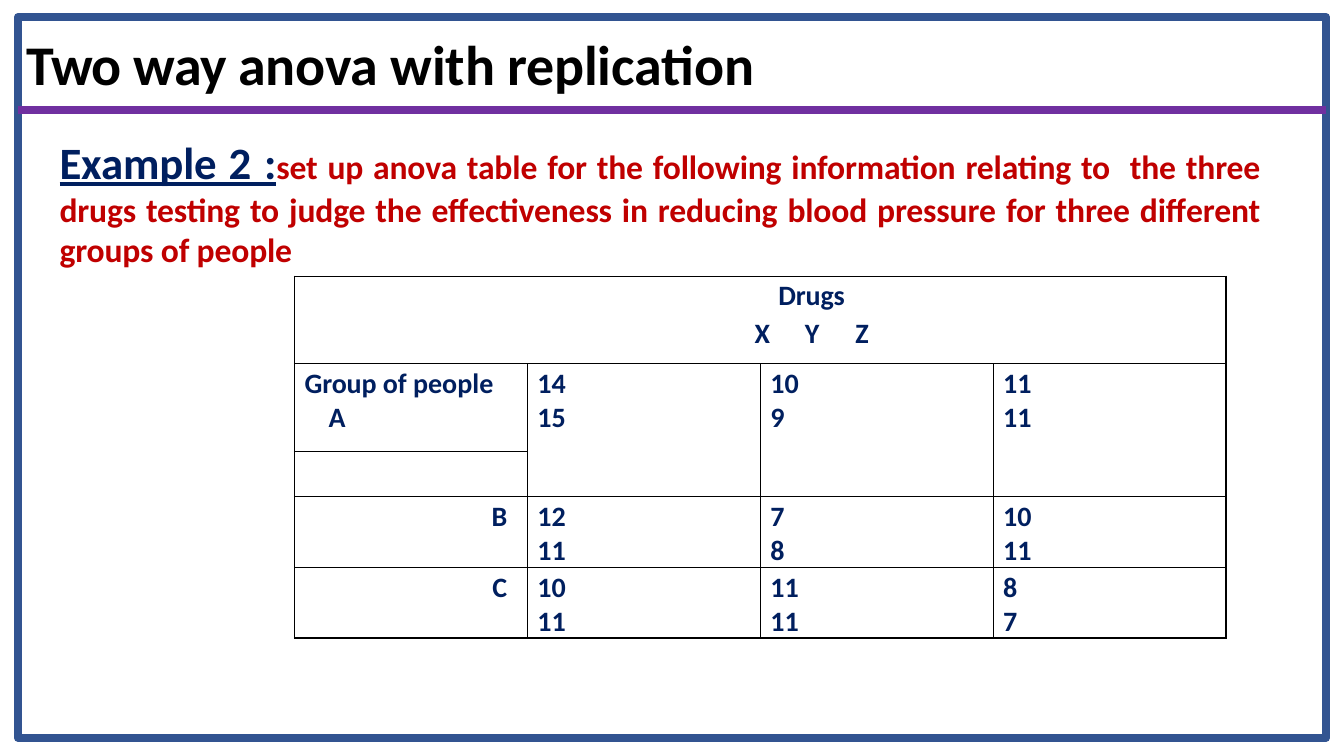
from dataclasses import dataclass

from lxml import etree
from pptx import Presentation
from pptx.dml.color import RGBColor
from pptx.enum.shapes import MSO_CONNECTOR, MSO_SHAPE
from pptx.enum.text import MSO_ANCHOR, PP_ALIGN
from pptx.oxml.ns import qn
from pptx.util import Inches, Pt

LEFT, CENTER, RIGHT, JUSTIFY = PP_ALIGN.LEFT, PP_ALIGN.CENTER, PP_ALIGN.RIGHT, PP_ALIGN.JUSTIFY
MIDDLE, TOP = MSO_ANCHOR.MIDDLE, MSO_ANCHOR.TOP
RECTANGLE, STRAIGHT = MSO_SHAPE.RECTANGLE, MSO_CONNECTOR.STRAIGHT
SLIDE_WIDTH, SLIDE_HEIGHT = Inches(13.33), Inches(7.5)


@dataclass(frozen=True)
class Theme:
    font: str = "Calibri"
    black: str = "000000"
    navy: str = "001F5F"
    red: str = "C00000"
    frame: str = "325491"
    rule: str = "7030A0"
    title: int = 40
    heading: int = 32
    body: int = 24
    cell: int = 20
    heavy_line: float = 6
    cell_line: float = 1
    bottom_line: float = 1.5


THEME = Theme()

TITLE = [("Two ", -0.6), ("way ", -0.5), ("anova ", -0.2), ("with replication", -0.1)]
EXAMPLE = [("Example", -0.1), (" 2", -0.5), (" ", -0.2), (":", 0)]
PROBLEM = [
    ("set up anova table ", -0.1),
    ("for ", -0.2),
    ("the following information relating to  the three drugs testing to judge "
     "the effectiveness in reducing blood pressure ", -0.1),
    ("for ", -0.2),
    ("three different groups of people", -0.1),
]
READINGS = {
    1: [("14", "15"), ("10", "9"), ("11", "11")],
    3: [("12", "11"), ("7", "8"), ("10", "11")],
    4: [("10", "11"), ("11", "11"), ("8", "7")],
}
GROUPS = {3: "B", 4: "C"}
ROW_SHARES = [11.6, 11.6, 6, 9.33, 9.33]
COLUMN_SHARE = 17.33
CELL_INDENT, HEADER_INDENT, GROUP_INDENT, GROUP_MARGIN = 0.75, 7.65, 2.55, 1.5


def across(percent):
    return round(SLIDE_WIDTH * percent / 100)


def down(percent):
    return round(SLIDE_HEIGHT * percent / 100)


def add_runs(paragraph, pieces, size, color, underline=False):
    for text, spacing in pieces:
        run = paragraph.add_run()
        run.text = text
        run.font.name = THEME.font
        run.font.size = Pt(size)
        run.font.bold = True
        run.font.underline = underline
        run.font.color.rgb = RGBColor.from_string(color)
        run.font._element.set("spc", str(round(spacing * 100)))


def format_paragraph(paragraph, align, before, indent=0):
    paragraph.alignment = align
    paragraph.space_before = Pt(before)
    paragraph._p.get_or_add_pPr().set("marL", str(across(indent)))


def add_text_area(slide, left, top, width, height, anchor):
    shape = slide.shapes.add_textbox(across(left), down(top), across(width), down(height))
    frame = shape.text_frame
    frame.word_wrap = True
    frame.vertical_anchor = anchor
    frame.margin_left = frame.margin_right = frame.margin_bottom = 0
    frame.margin_top = Inches(0.01)
    return frame.paragraphs[0]


def add_title(slide):
    paragraph = add_text_area(slide, 1.88, 4.67, 70, 8.27, MIDDLE)
    format_paragraph(paragraph, LEFT, 0.9, 0.08)
    paragraph.line_spacing = 0.9
    add_runs(paragraph, TITLE, THEME.title, THEME.black)


def add_problem(slide):
    paragraph = add_text_area(slide, 4.35, 17.73, 89.42, 18.13, TOP)
    format_paragraph(paragraph, JUSTIFY, 1.1, 0.08)
    add_runs(paragraph, EXAMPLE, THEME.heading, THEME.navy, underline=True)
    add_runs(paragraph, PROBLEM, THEME.body, THEME.red)


def style_cell(cell, bottom_width):
    properties = cell._tc.get_or_add_tcPr()
    for side in "LRTB":
        width = bottom_width if side == "B" else THEME.cell_line
        border = etree.SubElement(properties, qn(f"a:ln{side}"), w=str(Pt(width)))
        fill = etree.SubElement(border, qn("a:solidFill"))
        etree.SubElement(fill, qn("a:srgbClr"), val=THEME.black)
    cell.fill.background()


def fill_cell(cell, lines, align=LEFT, right_margin=0):
    cell.margin_left = cell.margin_bottom = 0
    cell.margin_right = across(right_margin)
    cell.margin_top = Inches(0.03)
    for index, (pieces, indent, before) in enumerate(lines):
        frame = cell.text_frame
        paragraph = frame.add_paragraph() if index else frame.paragraphs[0]
        format_paragraph(paragraph, align, before, indent)
        add_runs(paragraph, pieces, THEME.cell, THEME.navy)


def add_drug_table(slide):
    columns = 4
    shape = slide.shapes.add_table(
        len(ROW_SHARES), columns, across(21.91), down(36.53),
        across(COLUMN_SHARE * columns), down(sum(ROW_SHARES)))
    table = shape.table
    table.first_row = table.horz_banding = False
    for column in table.columns:
        column.width = across(COLUMN_SHARE)
    for index, share in enumerate(ROW_SHARES):
        table.rows[index].height = down(share)
        is_last = index == len(ROW_SHARES) - 1
        for cell in table.rows[index].cells:
            style_cell(cell, THEME.bottom_line if is_last else THEME.cell_line)

    table.cell(0, 0).merge(table.cell(0, columns - 1))
    for column in range(1, columns):
        table.cell(1, column).merge(table.cell(2, column))

    fill_cell(table.cell(0, 0), [
        ([("Drugs", -0.1)], HEADER_INDENT, 2.4),
        ([("X\tY\tZ", 0)], HEADER_INDENT, 2.4),
    ], CENTER)
    fill_cell(table.cell(1, 0), [
        ([("Group ", -0.1), ("of people", 0)], CELL_INDENT, 2.4),
        ([("A", 0)], GROUP_INDENT, 0),
    ])
    for row, group in GROUPS.items():
        fill_cell(table.cell(row, 0), [([(group, 0)], 0, 2.4)], RIGHT, GROUP_MARGIN)
    for row, pairs in READINGS.items():
        for column, (first, second) in enumerate(pairs, start=1):
            fill_cell(table.cell(row, column), [
                ([(first, 0)], CELL_INDENT, 2.4),
                ([(second, 0)], CELL_INDENT, 0),
            ])


def style_line(line, color):
    line.color.rgb = RGBColor.from_string(color)
    line.width = Pt(THEME.heavy_line)


def add_frame(slide, left, top, width, height):
    shape = slide.shapes.add_shape(
        RECTANGLE, across(left), down(top), across(width), down(height))
    shape.shadow.inherit = False
    shape.fill.background()
    style_line(shape.line, THEME.frame)


def add_rule(slide, left, right, level):
    connector = slide.shapes.add_connector(
        STRAIGHT, across(left), down(level), across(right), down(level))
    style_line(connector.line, THEME.rule)
    etree.SubElement(connector._element.spPr, qn("a:effectLst"))


def main():
    presentation = Presentation()
    presentation.slide_width = SLIDE_WIDTH
    presentation.slide_height = SLIDE_HEIGHT
    slide = presentation.slides.add_slide(presentation.slide_layouts[6])
    add_title(slide)
    add_problem(slide)
    add_drug_table(slide)
    add_frame(slide, 1.35, 2.27, 97.3, 95.33)
    add_rule(slide, 1.35, 98.65, 14.53)
    presentation.save("out.pptx")


if __name__ == "__main__":
    main()
